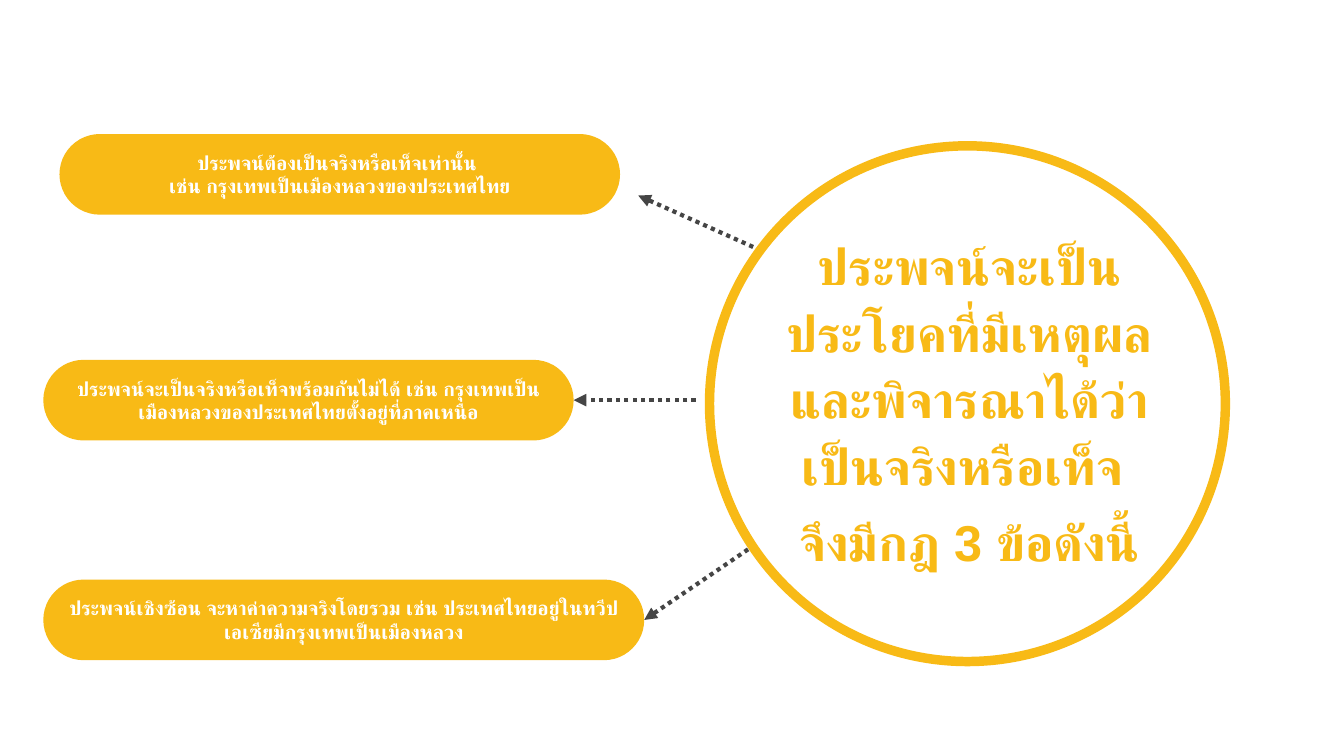
"""Build a slide on the three rules of propositions."""
from lxml import etree
from pptx import Presentation
from pptx.dml.color import RGBColor
from pptx.enum import dml, shapes, text
from pptx.oxml import ns
from pptx.util import Inches, Pt

YELLOW = RGBColor(0xF8, 0xBA, 0x16)
WHITE = RGBColor(0xFF, 0xFF, 0xFF)
GREY = RGBColor(0x45, 0x45, 0x45)
FONT = "Arial"

HEADLINE = [
    "ประพจน์จะเป็นประโยคที่มีเหตุผลและพิจารณาได้ว่าเป็นจริงหรือเท็จ ",
    "จึงมีกฎ 3 ข้อดังนี้",
]
HEADLINE_BOX = (7.38, 2.95, 4.47, 2.05)
RING_BOX = (6.99, 1.4, 5.21, 5.21)
RULE_HEIGHT = 0.8
RULES = [
    {"lines": ["ประพจน์เชิงซ้อน จะหาค่าความจริงโดยรวม เช่น ประเทศไทยอยู่ในทวีปเอเซียมีกรุงเทพเป็นเมืองหลวง"],
     "place": (0.43, 5.75, 5.96), "arrow": (7.42, 5.45, 6.38, 6.12), "joined": True},
    {"lines": ["ประพจน์จะเป็นจริงหรือเท็จพร้อมกันไม่ได้ เช่น กรุงเทพเป็นเมืองหลวงของประเทศไทยตั้งอยู่ที่ภาคเหนือ"],
     "place": (0.43, 3.57, 5.26), "arrow": (6.9, 3.97, 5.68, 3.97), "joined": True},
    {"lines": ["ประพจน์ต้องเป็นจริงหรือเท็จเท่านั้น ", "เช่น กรุงเทพเป็นเมืองหลวงของประเทศไทย"],
     "place": (0.59, 1.33, 5.56), "arrow": (7.47, 2.45, 6.33, 1.94), "joined": False},
]


def write(frame, lines, *, size, color, spacing=1.0, before=0):
    """Fill a text frame with centred bold paragraphs."""
    frame.word_wrap = True
    frame.auto_size = text.MSO_AUTO_SIZE.NONE
    frame.vertical_anchor = text.MSO_ANCHOR.MIDDLE
    for index, line in enumerate(lines):
        paragraph = frame.add_paragraph() if index else frame.paragraphs[0]
        paragraph.alignment = text.PP_ALIGN.CENTER
        paragraph.line_spacing = spacing
        paragraph.space_before = Pt(before)
        run = paragraph.add_run()
        run.text = line
        run.font.size = Pt(size)
        run.font.bold = True
        run.font.name = FONT
        run.font.color.rgb = color
        etree.SubElement(run.font._element, ns.qn("a:cs"), typeface=FONT)


def add_solid(slide, kind, box, adjustment):
    """Add a yellow preset shape without outline."""
    solid = slide.shapes.add_shape(kind, *map(Inches, box))
    solid.adjustments[0] = adjustment
    solid.fill.solid()
    solid.fill.fore_color.rgb = YELLOW
    solid.line.fill.background()
    solid.shadow.inherit = False
    return solid


def add_arrow(slide, ends):
    """Add a dotted arrow."""
    arrow = slide.shapes.add_connector(shapes.MSO_CONNECTOR.STRAIGHT, *map(Inches, ends))
    arrow.line.color.rgb = GREY
    arrow.line.width = Pt(3)
    arrow.line.dash_style = dml.MSO_LINE.ROUND_DOT
    properties = arrow._element.spPr
    etree.SubElement(properties.find(ns.qn("a:ln")), ns.qn("a:tailEnd"), type="triangle")
    etree.SubElement(properties, ns.qn("a:effectLst"))
    return arrow


def main():
    """Compose and save the slide."""
    deck = Presentation()
    deck.slide_width, deck.slide_height = Inches(13.33), Inches(7.5)
    slide = deck.slides.add_slide(deck.slide_layouts[5])

    add_solid(slide, shapes.MSO_SHAPE.DONUT, RING_BOX, 0.018)
    headline = slide.shapes.title
    headline.left, headline.top, headline.width, headline.height = map(Inches, HEADLINE_BOX)
    write(headline.text_frame, HEADLINE, size=36, color=YELLOW, spacing=1.1, before=7.2)

    pills = []
    for rule in RULES:
        pill = add_solid(slide, shapes.MSO_SHAPE.ROUNDED_RECTANGLE, (*rule["place"], RULE_HEIGHT), 0.5)
        write(pill.text_frame, rule["lines"], size=14, color=WHITE)
        pills.append(pill)

    for rule, pill in zip(RULES, pills):
        arrow = add_arrow(slide, rule["arrow"])
        if rule["joined"]:
            arrow.end_connect(pill, 3)

    deck.save("out.pptx")


if __name__ == "__main__":
    main()
